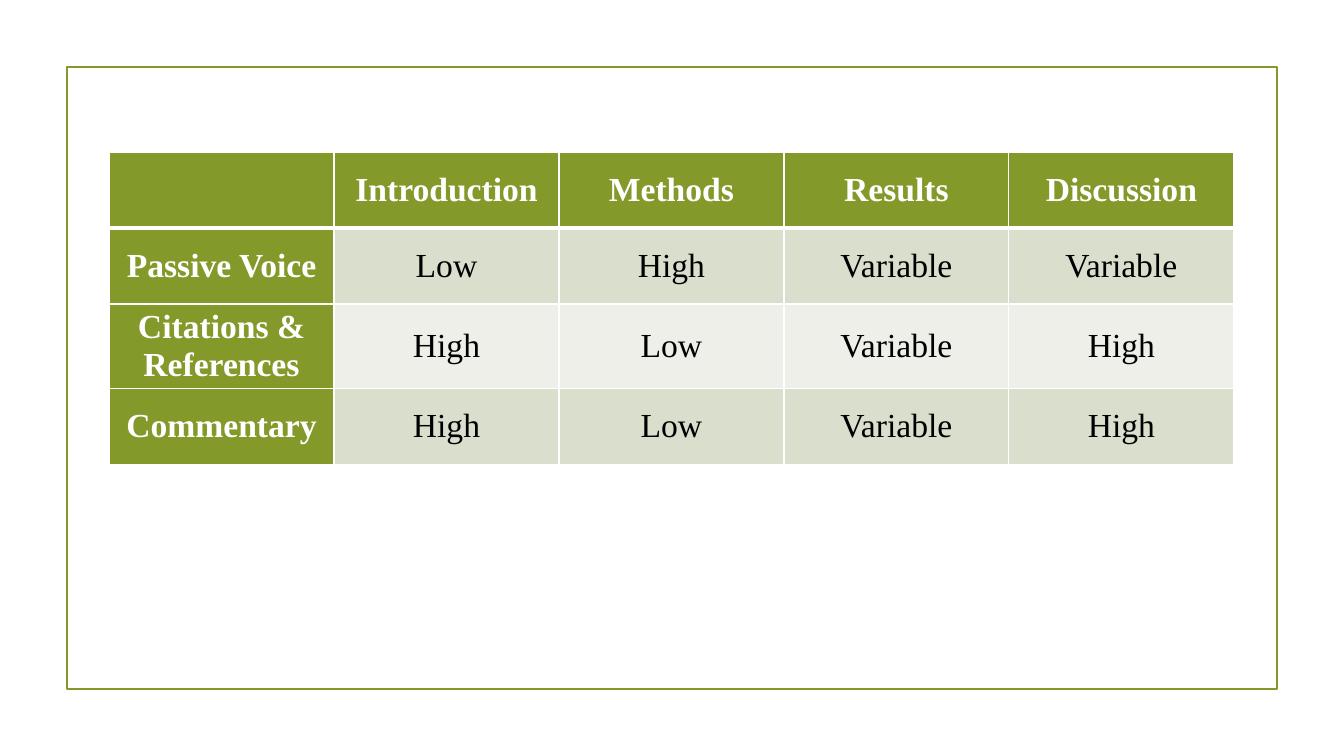
from lxml import etree
from pptx import Presentation
from pptx import util as u
from pptx.dml.color import RGBColor
from pptx.enum import shapes, text
from pptx.oxml.ns import qn

PX = 12192000 / 1344
GREEN = RGBColor(0x83, 0x99, 0x2A)
DARK_BAND = RGBColor(0xD9, 0xDE, 0xCD)
LIGHT_BAND = RGBColor(0xED, 0xEF, 0xE8)
WHITE = RGBColor(0xFF, 0xFF, 0xFF)
BLACK = RGBColor(0, 0, 0)

ROWS = [
    ["", "Introduction", "Methods", "Results", "Discussion"],
    ["Passive Voice", "Low", "High", "Variable", "Variable"],
    ["Citations & References", "High", "Low", "Variable", "High"],
    ["Commentary", "High", "Low", "Variable", "High"],
]
COLUMN_WIDTH, ROW_HEIGHT = 225, 76


def px(*lengths):
    """Turn pixel lengths into EMU."""
    return [u.Emu(round(length * PX)) for length in lengths]


def add_border(cell, side, points):
    line = etree.SubElement(cell._tc.get_or_add_tcPr(), qn(f"a:ln{side}"), w=str(u.Pt(points)))
    fill = etree.SubElement(line, qn("a:solidFill"))
    etree.SubElement(fill, qn("a:srgbClr"), val=str(WHITE))


deck = Presentation()
deck.slide_width, deck.slide_height = px(1344, 756)
slide = deck.slides.add_slide(deck.slide_layouts[6])

frame = slide.shapes.add_shape(shapes.MSO_SHAPE.RECTANGLE, *px(67, 67, 1210, 622))
frame.shadow.inherit = False
frame.fill.background()
frame.line.color.rgb = GREEN
frame.line.width = u.Pt(1.25)

features = slide.shapes.add_table(
    len(ROWS), len(ROWS[0]),
    *px(109, 152, COLUMN_WIDTH * len(ROWS[0]), ROW_HEIGHT * len(ROWS))).table
features.horz_banding = False
features.first_col = True

for r, row in enumerate(ROWS):
    for c, wording in enumerate(row):
        cell = features.cell(r, c)
        for side in "LRTB":
            under_header = (r, side) in [(0, "B"), (1, "T")]
            add_border(cell, side, 3 if under_header else 1)
        is_heading = r == 0 or c == 0
        cell.fill.solid()
        cell.fill.fore_color.rgb = GREEN if is_heading else DARK_BAND if r % 2 else LIGHT_BAND
        cell.vertical_anchor = text.MSO_ANCHOR.MIDDLE
        cell.text = wording
        paragraph = cell.text_frame.paragraphs[0]
        paragraph.alignment = text.PP_ALIGN.CENTER
        paragraph.font.name = "Times New Roman"
        paragraph.font.size = u.Pt(24)
        paragraph.font.bold = is_heading
        paragraph.font.color.rgb = WHITE if is_heading else BLACK

deck.save("out.pptx")
